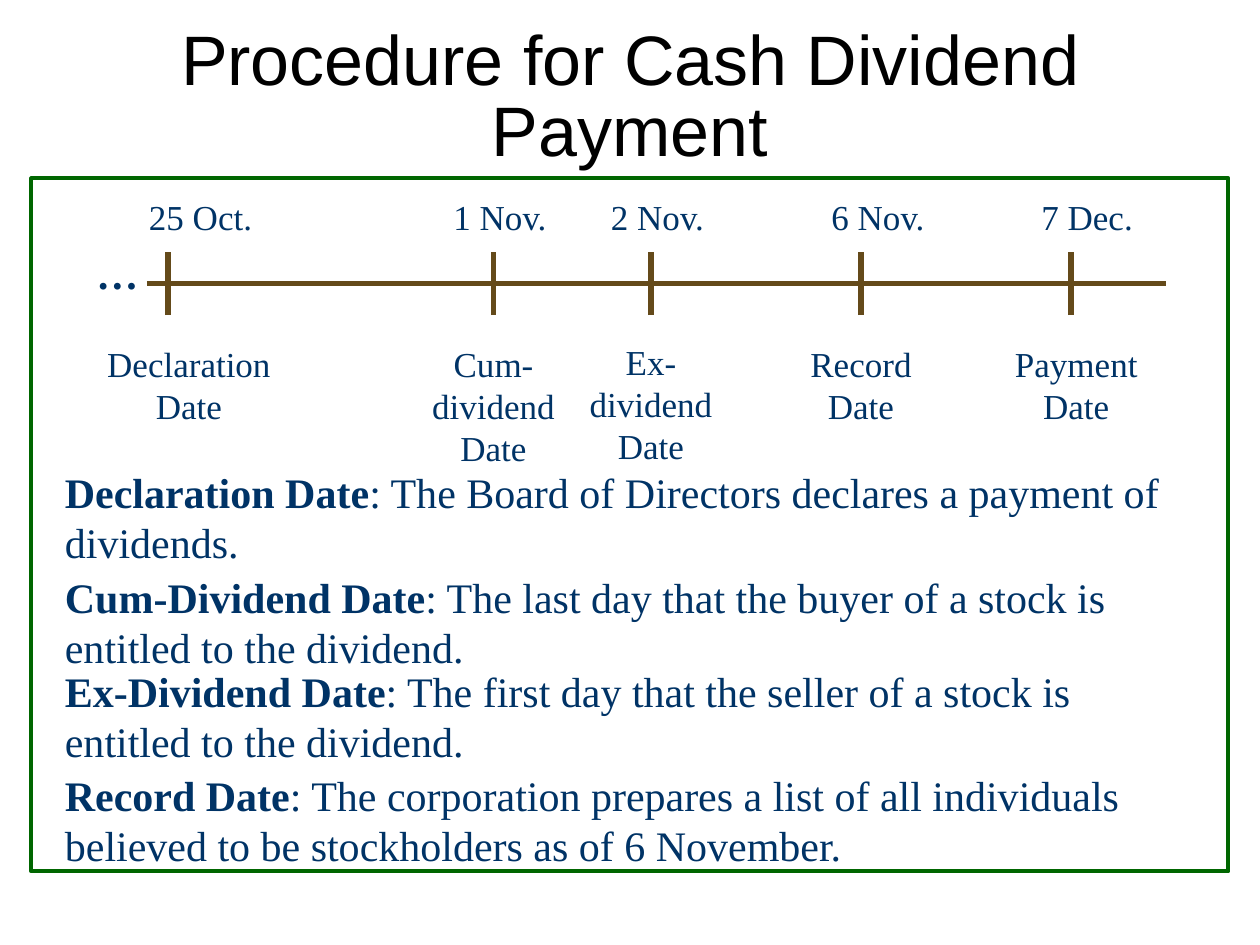
from lxml.etree import SubElement
from pptx import Presentation
from pptx.dml.color import RGBColor
from pptx.enum.shapes import MSO_CONNECTOR, MSO_SHAPE
from pptx.enum.text import MSO_ANCHOR, MSO_AUTO_SIZE, PP_ALIGN
from pptx.oxml.ns import qn
from pptx.util import Inches, Pt

BLACK = RGBColor(0x00, 0x00, 0x00)
WHITE = RGBColor(0xFF, 0xFF, 0xFF)
GREEN = RGBColor(0x00, 0x66, 0x00)
NAVY = RGBColor(0x00, 0x33, 0x66)
BROWN = RGBColor(0x64, 0x4A, 0x1A)

deck = Presentation()
deck.slide_width, deck.slide_height = Inches(10), Inches(7.5)
page = deck.slides.add_slide(deck.slide_layouts[5])
shapes = page.shapes

# The slide is a grid of 120 columns by 90 rows of square cells.
CELL = deck.slide_width / 120


def cells(*counts):
    return [round(count * CELL) for count in counts]


def add_text(left, top, width, height, spans, size, align=PP_ALIGN.LEFT):
    """Add a one-paragraph box; spans are (text, bold) pairs."""
    box = shapes.add_textbox(*cells(left, top, width, height))
    frame = box.text_frame
    frame.word_wrap = True
    frame.auto_size = MSO_AUTO_SIZE.SHAPE_TO_FIT_TEXT
    para = frame.paragraphs[0]
    para.alignment = align
    for text, bold in spans:
        span = para.add_run()
        span.text = text
        span.font.name = "Times New Roman"
        span.font.size = Pt(size)
        span.font.bold = bold
        span.font.color.rgb = NAVY


# Title
title = shapes.title
title.left, title.top, title.width, title.height = cells(3, 4, 114, 11)
title.text_frame.word_wrap = True
title.text_frame.auto_size = MSO_AUTO_SIZE.NONE
title.text_frame.vertical_anchor = MSO_ANCHOR.MIDDLE
para = title.text_frame.paragraphs[0]
para.alignment = PP_ALIGN.CENTER
para.line_spacing = 0.85
para.space_after = Pt(6)
span = para.add_run()
span.text = "Procedure for Cash Dividend Payment"
span.font.name = "Arial"
span.font.size = Pt(40)
span.font.color.rgb = BLACK

# Frame around the timeline and the definitions
border = shapes.add_shape(MSO_SHAPE.RECTANGLE, *cells(3, 17, 114, 66))
border.shadow.inherit = False
border.fill.solid()
border.fill.fore_color.rgb = WHITE
border.line.color.rgb = GREEN
border.line.width = Pt(2.25)

# Timeline: day, day column, tick column, name, name column, top row, width, height
events = [
    ("25 Oct.", 13, 16, "Declaration Date", 9, 32, 18, 9.2),
    ("1 Nov.", 42, 47, "Cum-dividend Date", 39, 32, 16, 13.2),
    ("2 Nov.", 57, 62, "Ex-dividend Date", 54, 31.8, 16, 13.2),
    ("6 Nov.", 78, 82, "Record Date", 75, 32, 14, 9.2),
    ("7 Dec.", 98, 102, "Payment Date", 95, 32, 15, 9.2),
]
strokes = [(14, 27, 111, 27)] + [(event[2], 30, event[2], 24) for event in events]
for ends in strokes:
    stroke = shapes.add_connector(MSO_CONNECTOR.STRAIGHT, *cells(*ends))
    stroke.line.color.rgb = BROWN
    stroke.line.width = Pt(3)
    SubElement(stroke._element.spPr, qn("a:effectLst"))

for day, day_left, tick, name, left, top, width, height in events:
    add_text(day_left, 18, 14, 5.2, [(day, False)], 20)
    add_text(left, top, width, height, [(name, False)], 20, PP_ALIGN.CENTER)
add_text(8, 23, 6, 6, [("…", True)], 24)

# Definitions
definitions = [
    (43.8, "Declaration Date", ": The Board of Directors declares a payment of dividends."),
    (53.8, "Cum-Dividend Date",
     ": The last day that the buyer of a stock is entitled to the dividend."),
    (62.8, "Ex-Dividend Date",
     ": The first day that the seller of a stock is entitled to the dividend."),
    (72.7, "Record Date",
     ": The corporation prepares a list of all individuals believed to be "
     "stockholders as of 6 November."),
]
for top, term, meaning in definitions:
    add_text(5, top, 111, 10.8, [(term, True), (meaning, False)], 24)

deck.save("out.pptx")
